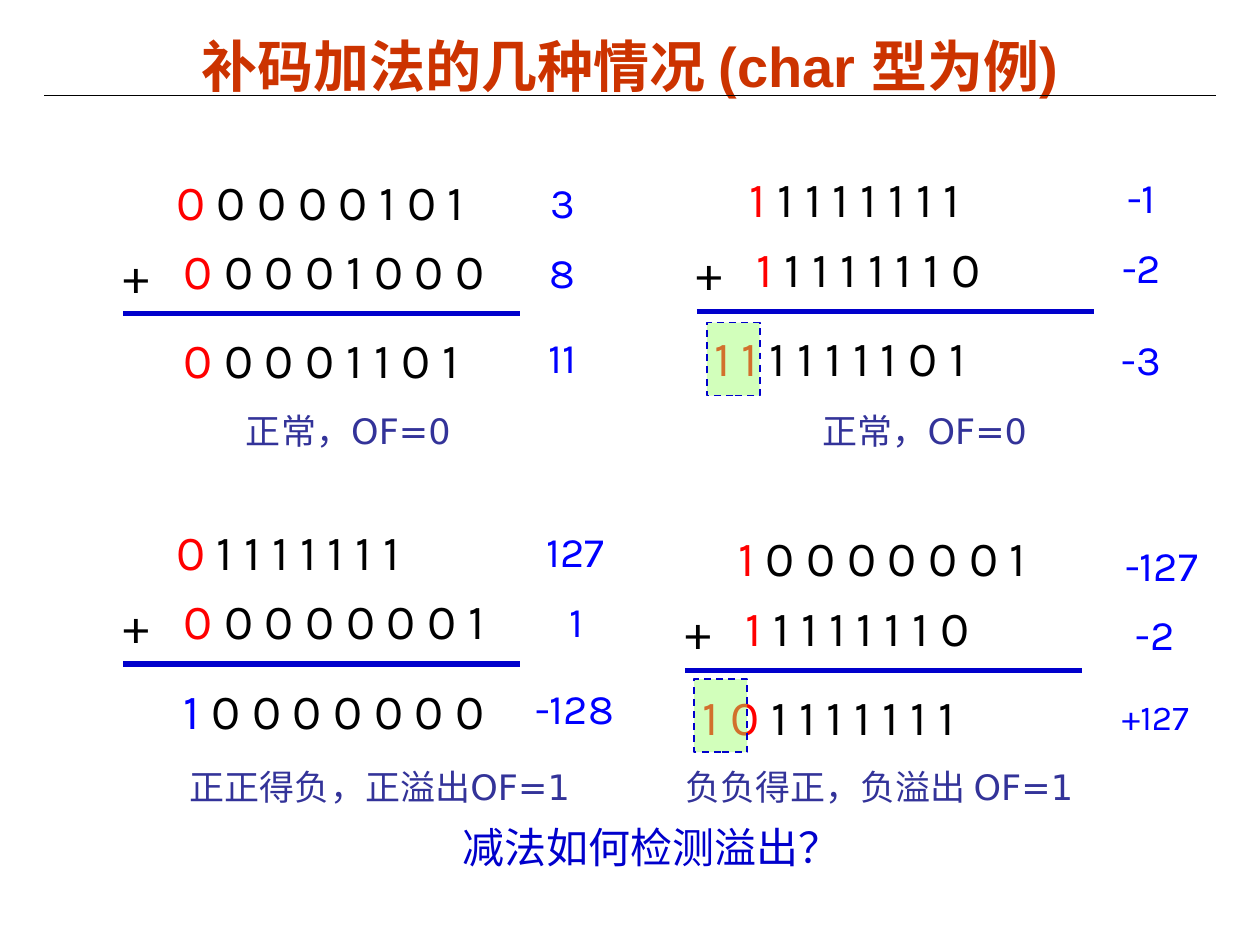
from pptx import Presentation
from pptx.dml.color import RGBColor
from pptx.enum.dml import MSO_LINE_DASH_STYLE as Dash
from pptx.enum.shapes import MSO_CONNECTOR as Conn, MSO_SHAPE as Shape
from pptx.enum.text import MSO_ANCHOR as Anchor, MSO_AUTO_SIZE as Auto, PP_ALIGN as Align
from pptx.oxml.ns import qn
from pptx.util import Inches, Pt
from lxml.etree import SubElement

RED, BLACK, BLUE, NAVY, INK = "FF0000", "000000", "0000FF", "0000CC", "333399"
TITLE = "补码加法的几种情况 (char 型为例)"

# Each sum: start of its rule, then rows of (sign bits, other bits, sign colour)
# and the decimal values as (text, left, top, width, size)
SUMS = [
    dict(at=(0.98, 2.49),
         rows=[("0", "0 0 0 0 1 0 1", RED), ("0", "0 0 0 1 0 0 0", RED),
               ("0", "0 0 0 1 1 0 1", RED)],
         vals=[("3", 4.25, 1.35, 0.43, 24), ("8", 4.25, 1.91, 0.43, 24),
               ("11", 4.17, 2.58, 0.59, 24)]),
    dict(at=(5.53, 2.47),
         rows=[("1", "1 1 1 1 1 1 1", RED), ("1", "1 1 1 1 1 1 0", RED),
               ("1 1", "1 1 1 1 1 0 1", RED)],
         vals=[("-1", 8.79, 1.31, 0.54, 24), ("-2", 8.79, 1.87, 0.54, 24),
               ("-3", 8.79, 2.6, 0.54, 24)]),
    dict(at=(5.44, 5.32),
         rows=[("1", "0 0 0 0 0 0 1", RED), ("1", "1 1 1 1 1 1 0", RED),
               ("1 0", "1 1 1 1 1 1 1", RED)],
         vals=[("-127", 8.71, 4.23, 1.02, 24), ("-2", 8.74, 4.78, 0.86, 24),
               ("+127", 8.74, 5.47, 0.86, 20)]),
    dict(at=(0.98, 5.27),
         rows=[("0", "1 1 1 1 1 1 1", RED), ("0", "0 0 0 0 0 0 1", RED),
               ("1", "0 0 0 0 0 0 0", BLUE)],
         vals=[("127", 4.17, 4.12, 0.79, 24), ("1", 4.18, 4.68, 0.79, 24),
               ("-128", 4, 5.37, 1.12, 24)]),
]

# Notes: text, left, top, width, size, colour, alignment
NOTES = [
    ("正常，OF=0", 1.13, 3.2, 3.27, 20, INK, Align.CENTER),
    ("正常，OF=0", 5.61, 3.2, 3.46, 20, INK, Align.CENTER),
    ("正正得负，正溢出OF=1", 1.25, 6.03, 3.53, 20, INK, Align.CENTER),
    ("负负得正，负溢出 OF=1", 5.34, 6.03, 4.15, 20, INK, Align.LEFT),
    ("减法如何检测溢出？", 1.99, 6.47, 6.36, 24, NAVY, Align.CENTER),
]
MARKS = [(5.61, 2.56), (5.51, 5.39)]

# Offsets of the three rows from the start of the rule
ROWS = [(0.32, -1.18), (0.38, -0.63), (0.38, 0.08)]
CARRY = 0.34  # the result shifts left by this when it has a carry bit
HIGH = {20: 0.44, 24: 0.51, 28: 0.57}


def paint(part, color):
    part.rgb = RGBColor.from_string(color)


def write(frame, runs, size=28, font="Karla", align=Align.LEFT, bold=False):
    frame.word_wrap = True
    par = frame.paragraphs[0]
    par.alignment = align
    for text, color in runs:
        run = par.add_run()
        run.text = text
        run.font.size, run.font.name, run.font.bold = Pt(size), font, bold
        paint(run.font.color, color)


def label(x, y, wide, runs, size=28, **form):
    box = slide.shapes.add_textbox(Inches(x), Inches(y), Inches(wide), Inches(HIGH[size]))
    write(box.text_frame, runs, size=size, **form)


def rule(x, y, wide, color, weight):
    line = slide.shapes.add_connector(
        Conn.STRAIGHT, Inches(x), Inches(y), Inches(x + wide), Inches(y))
    paint(line.line.color, color)
    line.line.width = Pt(weight)
    SubElement(line._element.spPr, qn("a:effectLst"))


deck = Presentation()
deck.slide_width, deck.slide_height = Inches(10), Inches(7.5)
slide = deck.slides.add_slide(deck.slide_layouts[5])

# Title and the rule below it
rule(0.35, 0.76, 9.3, BLACK, 0.75)
head = slide.shapes.title
head.left, head.top, head.width, head.height = map(Inches, (0.5, 0.21, 9, 0.61))
head.text_frame.auto_size = Auto.NONE
head.text_frame.vertical_anchor = Anchor.MIDDLE
write(head.text_frame, [(TITLE, "CC3300")], size=32, font="Arial",
      align=Align.CENTER, bold=True)

# Sums
for item in SUMS:
    x, y = item["at"]
    rule(x, y, 3.15, NAVY, 3)
    label(x - 0.1, y - 0.6, 0.48, [("+", BLACK)])
    for (sign, bits, color), (dx, dy) in zip(item["rows"], ROWS):
        shift = CARRY if len(sign) > 1 else 0
        label(x + dx - shift, y + dy, 2.84 + shift, [(sign, color), (" " + bits, BLACK)])
    for text, left, top, wide, size in item["vals"]:
        label(left, top, wide, [(text, BLUE)], size=size, align=Align.CENTER)

# Notes
for text, left, top, wide, size, color, align in NOTES:
    label(left, top, wide, [(text, color)], size=size, font="DejaVu Sans", align=align)

# Marks over the carry and sign bits
for x, y in MARKS:
    mark = slide.shapes.add_shape(
        Shape.RECTANGLE, Inches(x), Inches(y), Inches(0.42), Inches(0.58))
    mark.shadow.inherit = False
    mark.fill.solid()
    paint(mark.fill.fore_color, "99FF66")
    tint = mark._element.spPr.find(qn("a:solidFill"))[0]
    SubElement(tint, qn("a:alpha"), val="44000")
    paint(mark.line.color, NAVY)
    mark.line.width = Pt(1)
    mark.line.dash_style = Dash.DASH

deck.save("out.pptx")
